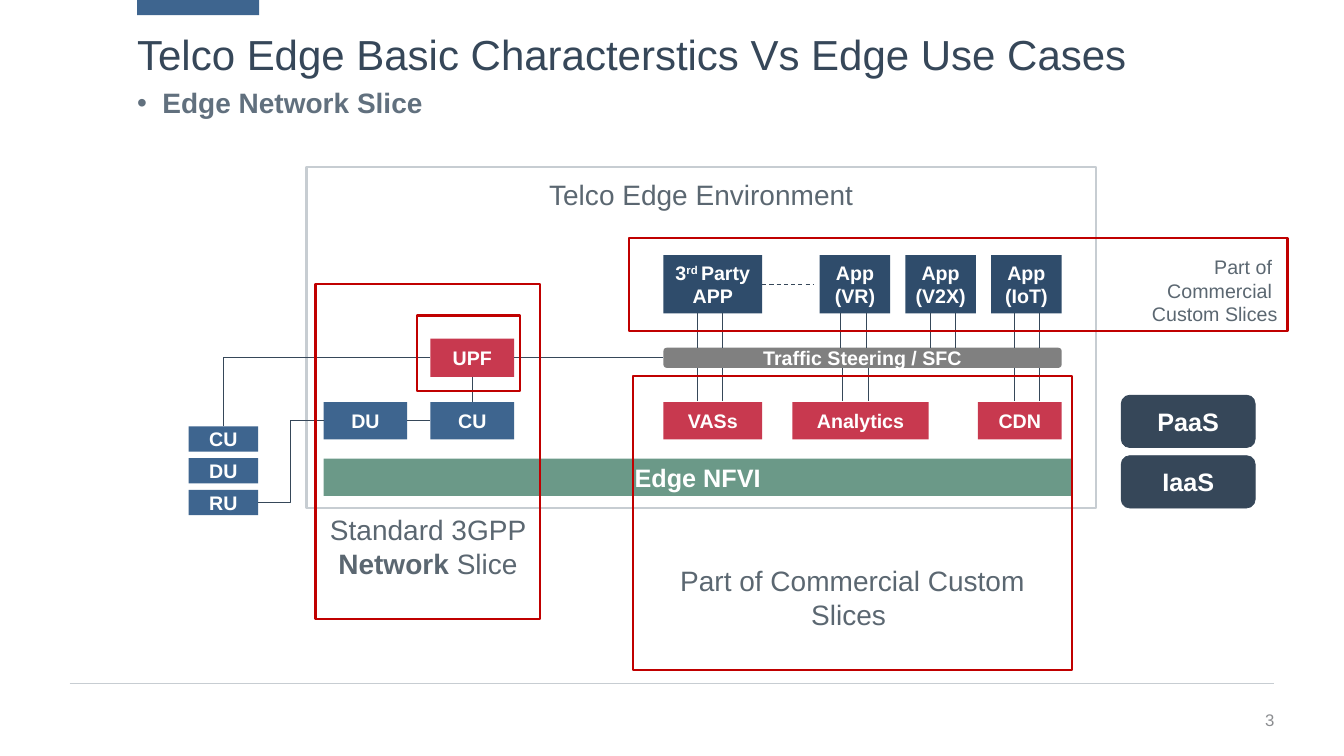
from lxml.etree import SubElement
from pptx import Presentation
from pptx.dml.color import RGBColor
from pptx.enum.dml import MSO_LINE as Dash
from pptx.enum.shapes import MSO_CONNECTOR as Link, MSO_SHAPE as Form
from pptx.enum.text import MSO_ANCHOR as Anchor, MSO_AUTO_SIZE as Fit, PP_ALIGN as Align
from pptx.oxml.ns import qn
from pptx.util import Inches, Pt

WHITE = RGBColor(0xFF, 0xFF, 0xFF)
NAVY = RGBColor(0x36, 0x47, 0x59)
DEEP = RGBColor(0x2F, 0x4C, 0x6B)
BLUE = RGBColor(0x3E, 0x65, 0x8F)
ROSE = RGBColor(0xC8, 0x39, 0x4F)
GREEN = RGBColor(0x6B, 0x99, 0x88)
GRAY = RGBColor(0x80, 0x80, 0x80)
PALE = RGBColor(0xC7, 0xCD, 0xD2)
RED = RGBColor(0xC0, 0x00, 0x00)
SLATE = RGBColor(0x5B, 0x67, 0x71)
STEEL = RGBColor(0x61, 0x70, 0x7E)
ASH = RGBColor(0x8C, 0x8E, 0x91)

TOP, LEFT, BOTTOM, RIGHT = range(4)


class Board:
    """Holds the style and the current slide, and draws each kind of element."""

    def __init__(self, slide, face="Arial"):
        self.slide, self.face = slide, face

    def letter(self, frame, text, size, color, bold=False, align=Align.CENTER,
               anchor=Anchor.MIDDLE, pads=(0.05, 0.05, 0.05, 0.05)):
        frame.word_wrap = True
        frame.auto_size = Fit.NONE
        frame.vertical_anchor = anchor
        (frame.margin_left, frame.margin_top,
         frame.margin_right, frame.margin_bottom) = map(Inches, pads)
        frame.text = text[0]
        for line in text[1:]:
            frame.add_paragraph().text = line
        for par in frame.paragraphs:
            par.alignment = align
            par.space_before = Pt(0)
            for run in par.runs:
                self.style(run, size, color, bold)
        return frame.paragraphs[0]

    def style(self, run, size, color, bold=False):
        font = run.font
        font.name, font.size, font.bold = self.face, Pt(size), bold
        font.color.rgb = color

    def span(self, par, text, size, color, bold=False):
        run = par.add_run()
        run.text = text
        self.style(run, size, color, bold)
        return run

    def holder(self, item, spot, text, size, color, bold=False):
        item.left, item.top, item.width, item.height = map(Inches, spot)
        return self.letter(item.text_frame, [text], size, color, bold,
                           Align.LEFT, Anchor.TOP, (0, 0, 0, 0))

    def label(self, spot, text, size, color, align):
        item = self.slide.shapes.add_textbox(*map(Inches, spot))
        self.letter(item.text_frame, [text], size, color, align=align, pads=(0, 0, 0, 0))

    def box(self, spot, fill, text="", size=14, form=Form.RECTANGLE):
        item = self.slide.shapes.add_shape(form, *map(Inches, spot))
        item.shadow.inherit = False
        item.fill.solid()
        item.fill.fore_color.rgb = fill
        item.line.fill.background()
        if text:
            self.letter(item.text_frame, [text], size, WHITE, True)
        return item

    def frame(self, spot, color, text=(), size=20, align=Align.CENTER,
              anchor=Anchor.BOTTOM, base=0.05):
        item = self.slide.shapes.add_shape(Form.RECTANGLE, *map(Inches, spot))
        item.shadow.inherit = False
        item.fill.background()
        item.line.color.rgb = color
        item.line.width = Pt(1.5)
        if text:
            self.letter(item.text_frame, text, size, SLATE, False, align, anchor,
                        (0.1, 0.1, 0.1, base))
        return item

    def line(self, start, end, color=NAVY, width=0.75, kind=Link.STRAIGHT):
        item = self.slide.shapes.add_connector(kind, *map(Inches, start + end))
        item.line.color.rgb = color
        item.line.width = Pt(width)
        SubElement(item._element.spPr, qn("a:effectLst"))
        return item

    def join(self, first, side, last, edge, kind=Link.STRAIGHT):
        item = self.line((0, 0), (1, 1), kind=kind)
        item.begin_connect(first, side)
        item.end_connect(last, edge)
        return item

    def corner(self, first, last):
        item = self.join(first, TOP, last, LEFT, Link.ELBOW)
        wide, high = item.width, item.height
        mid_x, mid_y = item.left + wide // 2, item.top + high // 2
        item.left, item.top = mid_x - high // 2, mid_y - wide // 2
        item.width, item.height = high, wide
        props = item._element.spPr
        props.find(qn("a:prstGeom")).set("prst", "bentConnector2")
        turn = props.find(qn("a:xfrm"))
        for key, value in (("rot", "5400000"), ("flipH", "1"), ("flipV", "1")):
            turn.set(key, value)


def main():
    deck = Presentation()
    deck.slide_width, deck.slide_height = Inches(13.33), Inches(7.5)
    slide = deck.slides.add_slide(deck.slide_layouts[1])
    board = Board(slide)

    board.label((11.97, 6.94, 0.67, 0.4), "3", 12, ASH, Align.RIGHT)
    board.line((0.69, 6.78), (12.64, 6.78), PALE, 1)
    board.box((1.36, 0, 1.21, 0.15), BLUE)

    head = board.holder(slide.shapes.title, (1.36, 0.32, 10.61, 0.48),
                        "Telco Edge Basic Characterstics Vs Edge Use Cases", 30, NAVY)
    head.line_spacing = 0.95
    topic = board.holder(slide.placeholders[1], (1.36, 0.85, 11.41, 0.63),
                         "Edge Network Slice", 20, STEEL, True)
    props = topic._p.get_or_add_pPr()
    props.set("marL", str(Inches(0.25)))
    props.set("indent", str(Inches(-0.25)))
    SubElement(props, qn("a:buFont")).set("typeface", "Arial")
    SubElement(props, qn("a:buChar")).set("char", "•")

    board.frame((3.04, 1.66, 7.83, 3.38), PALE, ["Telco Edge Environment"],
                anchor=Anchor.TOP)
    board.box((3.21, 4.55, 7.42, 0.37), GREEN, "Edge NFVI", 18)

    upf = board.box((4.27, 3.36, 0.83, 0.38), ROSE, "UPF")
    core_cu = board.box((4.27, 3.99, 0.83, 0.37), BLUE, "CU")
    core_du = board.box((3.21, 3.99, 0.83, 0.37), BLUE, "DU")
    for left, wide, name in ((6.58, 0.98, "VASs"), (7.86, 1.35, "Analytics"),
                             (9.7, 0.83, "CDN")):
        board.box((left, 3.99, wide, 0.37), ROSE, name)

    for col, name in enumerate(("VR", "V2X", "IoT")):
        board.box((8.13 + 0.85 * col, 2.53, 0.7, 0.58), DEEP, f"App ({name})")
    party = board.box((6.58, 2.53, 0.98, 0.58), DEEP, "3")
    words = party.text_frame.paragraphs[0]
    rank = board.span(words, "rd ", 14, WHITE, True)
    rank._r.get_or_add_rPr().set("baseline", "30000")
    board.span(words, "Party APP", 14, WHITE, True)
    dots = board.line((7.56, 2.82), (8.07, 2.82))
    dots.begin_connect(party, RIGHT)
    dots.line.dash_style = Dash.DASH

    steer = board.box((6.58, 3.45, 3.95, 0.2), GRAY, "Traffic Steering / SFC",
                      form=Form.ROUNDED_RECTANGLE)
    for low, high, lefts in ((3.45, 3.11, (6.92, 8.34, 9.23, 10.06)),
                             (3.98, 3.65, (6.92, 8.36, 10.06))):
        for left in lefts:
            for x in (left, left + 0.25):
                board.line((x, low), (x, high))

    cu, du, ru = [board.box((1.87, 4.23 + 0.315 * row, 0.69, 0.25), BLUE, name)
                  for row, name in enumerate(("CU", "DU", "RU"))]
    board.join(upf, RIGHT, steer, LEFT)
    board.join(upf, BOTTOM, core_cu, TOP)
    board.join(core_du, RIGHT, core_cu, LEFT)
    board.join(ru, RIGHT, core_du, LEFT, Link.ELBOW)
    board.corner(cu, upf)

    for top, name in ((3.92, "PaaS"), (4.52, "IaaS")):
        tile = board.box((11.12, top, 1.33, 0.52), NAVY, name, 18,
                         Form.ROUNDED_RECTANGLE)
        tile.line.color.rgb = NAVY
        tile.line.width = Pt(0.5)

    core = board.frame((3.13, 2.82, 2.23, 3.32), RED, ["Standard 3GPP "], base=0.39)
    words = core.text_frame.paragraphs[0]
    board.span(words, "Network", 20, SLATE, True)
    board.span(words, " Slice", 20, SLATE)
    board.frame((6.24, 2.36, 6.53, 0.92), RED,
                ["Part of ", "Commercial ", "Custom Slices"], 14, Align.RIGHT)
    board.frame((6.28, 3.73, 4.35, 2.92), RED,
                ["Part of Commercial Custom Slices "], base=0.39)
    board.frame((4.14, 3.13, 1.02, 0.75), RED)

    deck.save("out.pptx")


if __name__ == "__main__":
    main()
